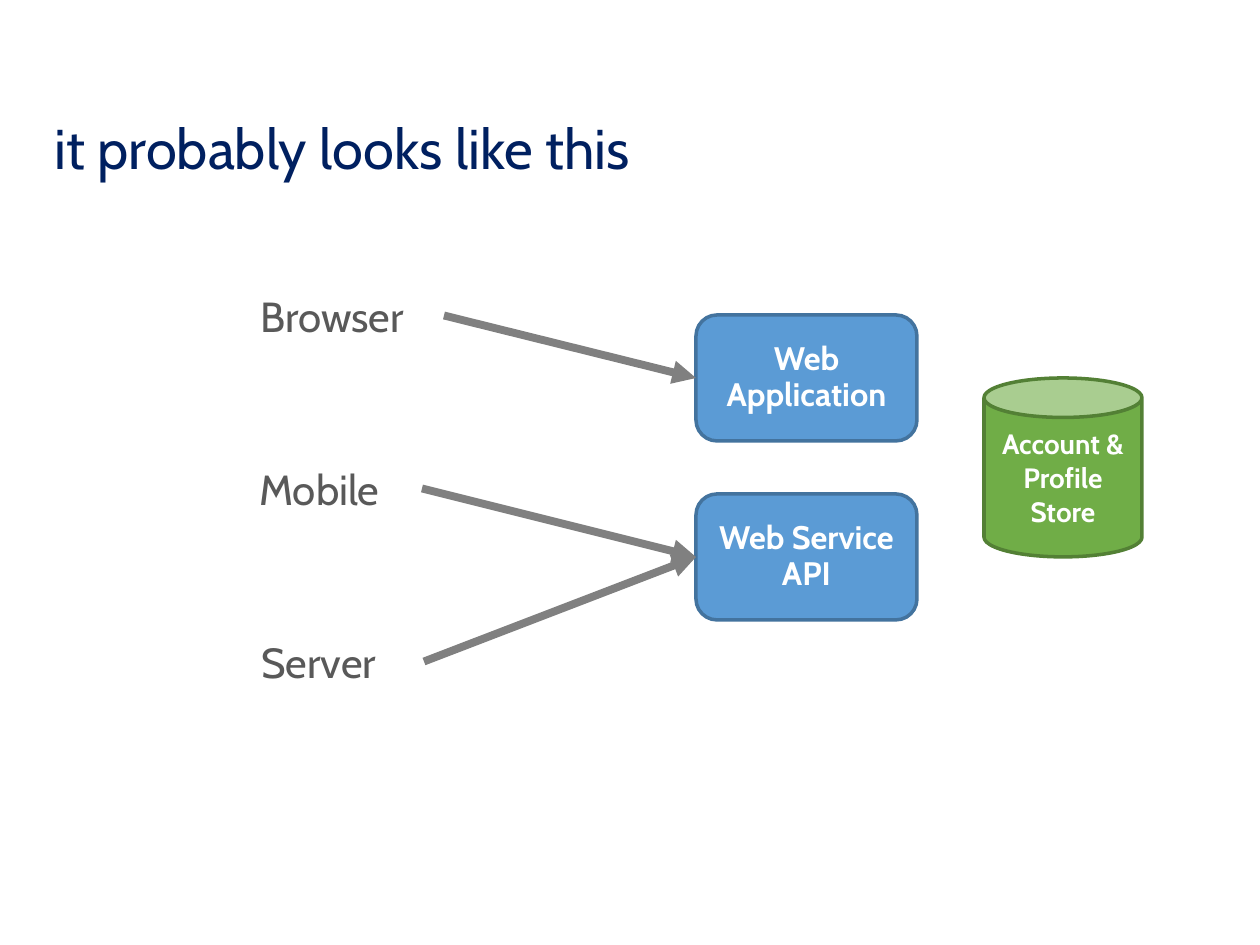
from lxml import etree
from pptx import Presentation
from pptx.dml.color import RGBColor
from pptx.enum.shapes import MSO_CONNECTOR, MSO_SHAPE
from pptx.enum.text import MSO_ANCHOR, PP_ALIGN
from pptx.oxml.ns import qn
from pptx.util import Emu, Pt

ROUNDED = MSO_SHAPE.ROUNDED_RECTANGLE
CAN = MSO_SHAPE.CAN
STRAIGHT = MSO_CONNECTOR.STRAIGHT
MIDDLE = MSO_ANCHOR.MIDDLE
TOP = MSO_ANCHOR.TOP
CENTER = PP_ALIGN.CENTER
LEFT = PP_ALIGN.LEFT

NAVY = RGBColor(0x00, 0x20, 0x60)
DARK_GRAY = RGBColor(0x59, 0x59, 0x59)
GRAY = RGBColor(0x80, 0x80, 0x80)
WHITE = RGBColor(0xFF, 0xFF, 0xFF)
BLUE = RGBColor(0x5B, 0x9B, 0xD5)
DARK_BLUE = RGBColor(0x43, 0x73, 0x9E)
GREEN = RGBColor(0x70, 0xAD, 0x47)
DARK_GREEN = RGBColor(0x53, 0x80, 0x35)

FONT = "Cabin"
PX_PER_INCH = 126
LEFT_SITE, RIGHT_SITE = 1, 3

TITLE_FONT = {"size": Pt(32), "bold": False}
LABEL_FONT = {"size": Pt(24), "bold": False}
SERVICE_FONT = {"size": Pt(18.6), "bold": True}
STORE_FONT = {"size": Pt(16), "bold": True}


def px(length):
    return Emu(round(length * 914400 / PX_PER_INCH))


def write_text(shape, text, font, color, anchor, alignment, line_spacing=1.0):
    frame = shape.text_frame
    frame.word_wrap = True
    frame.vertical_anchor = anchor
    paragraph = frame.paragraphs[0]
    paragraph.text = text
    paragraph.alignment = alignment
    paragraph.line_spacing = line_spacing
    paragraph.font.name = FONT
    paragraph.font.color.rgb = color
    for name, value in font.items():
        setattr(paragraph.font, name, value)


def add_text(slide, bounds, text, font, color, anchor=TOP):
    box = slide.shapes.add_textbox(*map(px, bounds))
    write_text(box, text, font, color, anchor, LEFT)
    return box


def add_node(slide, kind, bounds, text, font, fill, outline, line_spacing=1.0):
    node = slide.shapes.add_shape(kind, *map(px, bounds))
    node.shadow.inherit = False
    node.fill.solid()
    node.fill.fore_color.rgb = fill
    node.line.color.rgb = outline
    node.line.width = Pt(2)
    write_text(node, text, font, WHITE, MIDDLE, CENTER, line_spacing)
    return node


def add_arrow(slide, source, target):
    arrow = slide.shapes.add_connector(STRAIGHT, 0, 0, 0, 0)
    arrow.begin_connect(source, RIGHT_SITE)
    arrow.end_connect(target, LEFT_SITE)
    arrow.line.color.rgb = GRAY
    arrow.line.width = Pt(4.5)
    etree.SubElement(arrow.line._get_or_add_ln(), qn("a:tailEnd"), type="triangle")
    etree.SubElement(arrow._element.spPr, qn("a:effectLst"))


def main():
    presentation = Presentation()
    presentation.slide_width = px(1260)
    presentation.slide_height = px(945)
    slide = presentation.slides.add_slide(presentation.slide_layouts[6])

    add_text(slide, (42, 116, 1071, 63), "it probably looks like this",
             TITLE_FONT, NAVY, MIDDLE)
    add_node(slide, CAN, (984, 378, 158, 179), "Account & Profile Store",
             STORE_FONT, GREEN, DARK_GREEN)

    web_application, web_service = [
        add_node(slide, ROUNDED, (696, 315 + 179 * row, 221, 126), text,
                 SERVICE_FONT, BLUE, DARK_BLUE, 0.9)
        for row, text in enumerate(("Web Application", "Web Service API"))
    ]

    clients = (
        ("Browser", 248, 196, web_application),
        ("Mobile", 247, 175, web_service),
        ("Server", 249, 175, web_service),
    )
    for row, (text, left, width, service) in enumerate(clients):
        label = add_text(slide, (left, 284 + 173 * row, width, 63), text,
                         LABEL_FONT, DARK_GRAY)
        add_arrow(slide, label, service)

    presentation.save("out.pptx")


if __name__ == "__main__":
    main()
